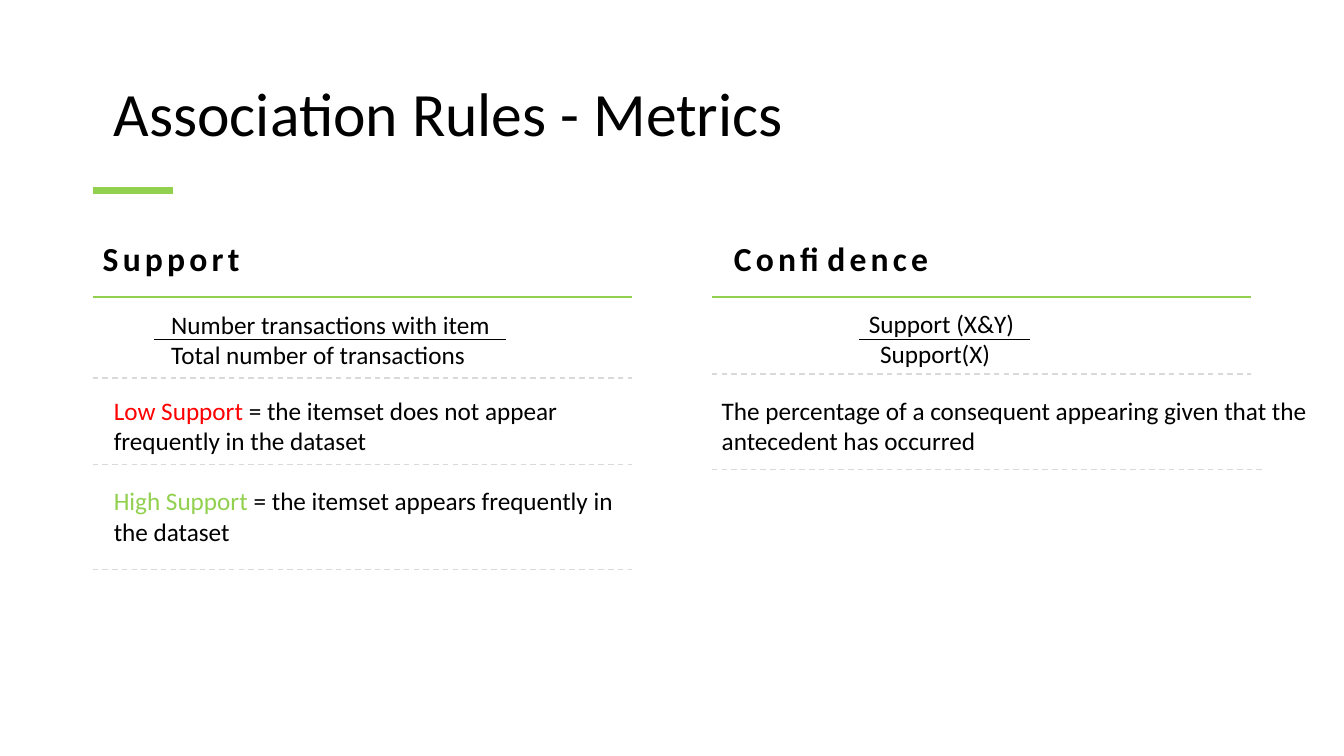
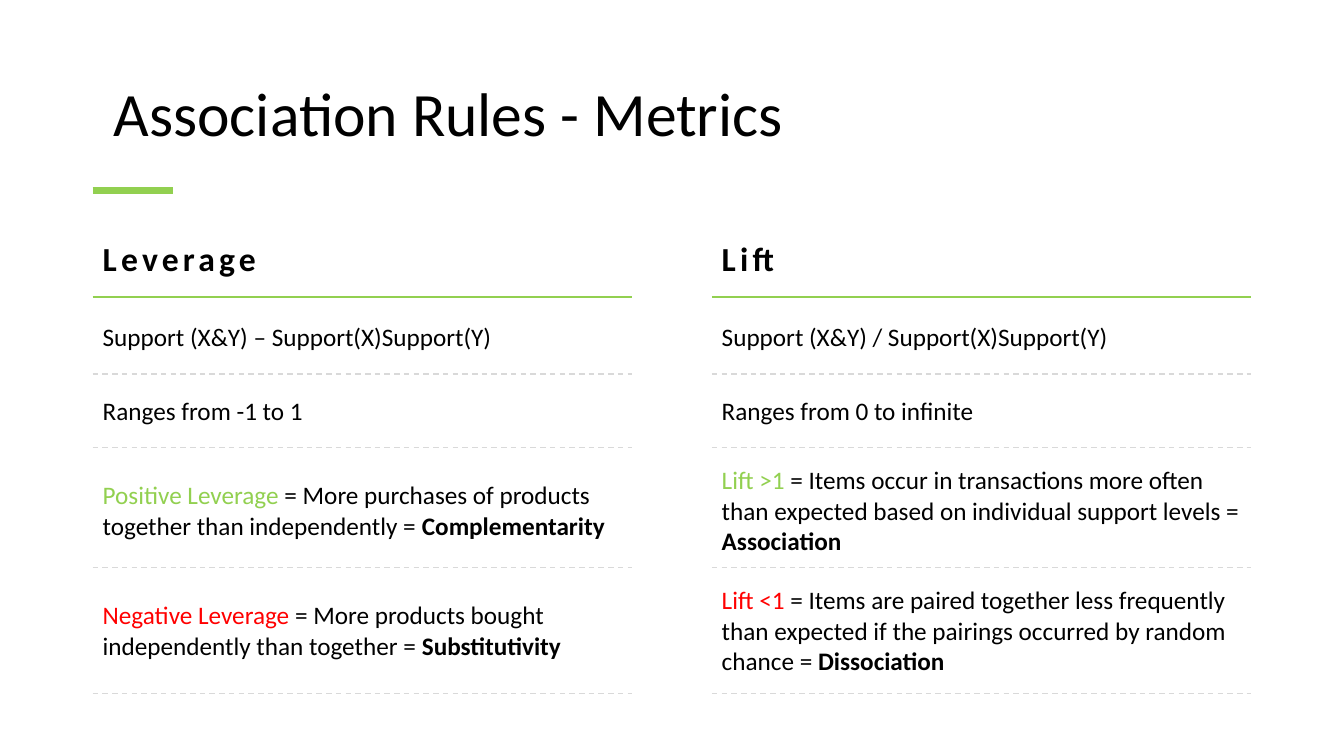
from pptx import Presentation
from pptx.dml.color import RGBColor as RGB
from pptx.enum.dml import MSO_LINE as Dash
from pptx.enum.shapes import MSO_CONNECTOR as Conn
from pptx.enum.text import MSO_ANCHOR as Anchor
from pptx.oxml.ns import qn
from pptx.util import Inches, Pt
from lxml import etree

# Shared look
HUE = {"ink": "000000", "green": "92D050", "red": "FF0000", "grey": "D9D9D9"}
BODY = {"name": "Calibri", "size": Pt(18), "bold": False}
HEAD = {"name": "Calibri", "size": Pt(24), "bold": True}
TITLE = {"name": "Calibri", "size": Pt(44), "bold": False}
LEFT, RIGHT, WIDE = 0.92, 7.06, 5.35

prs = Presentation()
prs.slide_width, prs.slide_height = Inches(13.33), Inches(7.5)


def rule(slide, x, y, w, hue, pts, dash=False):
    """Draw a level line from x, w inches long."""
    line = slide.shapes.add_connector(
        Conn.STRAIGHT, Inches(x), Inches(y), Inches(x + w), Inches(y))
    line.line.color.rgb = RGB.from_string(HUE[hue])
    line.line.width = Pt(pts)
    if dash:
        line.line.dash_style = Dash.DASH
    etree.SubElement(line._element.spPr, qn("a:effectLst"))


def write(slide, box, paras, font=BODY, gap=None, track=0, dents=(),
          anchor=Anchor.TOP):
    """Add a text box; each paragraph is a list of (text, hue, bold) runs."""
    frame = slide.shapes.add_textbox(*[Inches(v) for v in box]).text_frame
    frame.word_wrap = True
    frame.vertical_anchor = anchor
    for i, runs in enumerate(paras):
        para = frame.paragraphs[0] if i == 0 else frame.add_paragraph()
        para.line_spacing = gap
        if dents:
            para._p.get_or_add_pPr().set("marL", str(Inches(dents[i])))
        for words, hue, bold in runs:
            run = para.add_run()
            run.text = words
            for key, val in font.items():
                setattr(run.font, key, val)
            run.font.bold = bold or font["bold"]
            run.font.color.rgb = RGB.from_string(HUE[hue])
            if track:
                run.font._element.set("spc", str(track))


# Title, accent bar and column heads of both slides
slides = []
for heads in [
    [("Support", LEFT, LEFT), ("Confidence", RIGHT, 7.18)],
    [("Leverage", LEFT, LEFT), ("Lift", RIGHT, RIGHT)],
]:
    slide = prs.slides.add_slide(prs.slide_layouts[6])
    slides.append(slide)
    write(slide, (1.03, 0.43, 11.5, 1.45),
          [[("Association Rules - Metrics", "ink", False)]],
          font=TITLE, gap=0.9, anchor=Anchor.MIDDLE)
    rule(slide, LEFT, 1.89, 0.8, "green", 4.5)
    for name, x, inset in heads:
        rule(slide, x, 2.95, WIDE, "green", 1.5)
        write(slide, (inset, 2.37, WIDE, 0.45), [[(name, "ink", True)]],
              font=HEAD, gap=0.85, track=300)

first, second = slides

# Support and confidence: the fractions
for x, y, top, low, dents, bar, span in [
    (1.6, 3.02, "Number transactions with item",
     "Total number of transactions", (0, 0), 1.53, 3.49),
    (RIGHT, 3.01, "Support (X&Y)", "Support(X)", (1.46, 1.57), 8.52, 1.7),
]:
    write(first, (x, y, WIDE, 0.71),
          [[(top, "ink", False)], [(low, "ink", False)]], dents=dents)
    rule(first, bar, 3.37, span, "ink", 0.5)

# Support and confidence: the meanings
for x, y, w, runs in [
    (1.03, 3.87, WIDE, [
        ("Low Support ", "red", False),
        ("= the itemset does not appear frequently in the dataset",
         "ink", False)]),
    (1.03, 4.77, WIDE, [
        ("High Support ", "green", False),
        ("= the itemset appears frequently in the dataset", "ink", False)]),
    (RIGHT, 3.87, 6.03, [
        ("The percentage of a consequent appearing given that the "
         "antecedent has occurred", "ink", False)]),
]:
    write(first, (x, y, w, 0.71), [runs])

for x, y, w in [(LEFT, 3.75, WIDE), (LEFT, 4.61, WIDE), (LEFT, 5.65, WIDE),
                (RIGHT, 3.71, WIDE), (RIGHT, 4.66, 5.47)]:
    rule(first, x, y, w, "grey", 1, dash=True)

# Leverage and lift: rows closed by a dashed line
ENDS = [3.71, 4.44, 5.63, 6.88]
for x, rows in [
    (LEFT, [
        (3.14, 0.4, [("Support (X&Y) – Support(X)Support(Y)", "ink", False)]),
        (3.87, 0.4, [("Ranges from -1 to 1", "ink", False)]),
        (4.71, 0.71, [
            ("Positive Leverage ", "green", False),
            ("= More purchases of products together than independently = ",
             "ink", False),
            ("Complementarity", "ink", True)]),
        (5.9, 0.71, [
            ("Negative Leverage ", "red", False),
            ("= More products bought independently than together = ",
             "ink", False),
            ("Substitutivity", "ink", True)]),
    ]),
    (RIGHT, [
        (3.14, 0.4, [("Support (X&Y) / Support(X)Support(Y)", "ink", False)]),
        (3.87, 0.4, [("Ranges from 0 to infinite", "ink", False)]),
        (4.56, 1.01, [
            ("Lift >1", "green", False),
            (" = Items occur in transactions more often than expected based "
             "on individual support levels = ", "ink", False),
            ("Association", "ink", True)]),
        (5.75, 1.01, [
            ("Lift <1", "red", False),
            (" = Items are paired together less frequently than expected if "
             "the pairings occurred by random chance = ", "ink", False),
            ("Dissociation", "ink", True)]),
    ]),
]:
    for (y, h, runs), end in zip(rows, ENDS):
        write(second, (x, y, WIDE, h), [runs])
        rule(second, x, end, WIDE, "grey", 1, dash=True)

prs.save("out.pptx")
